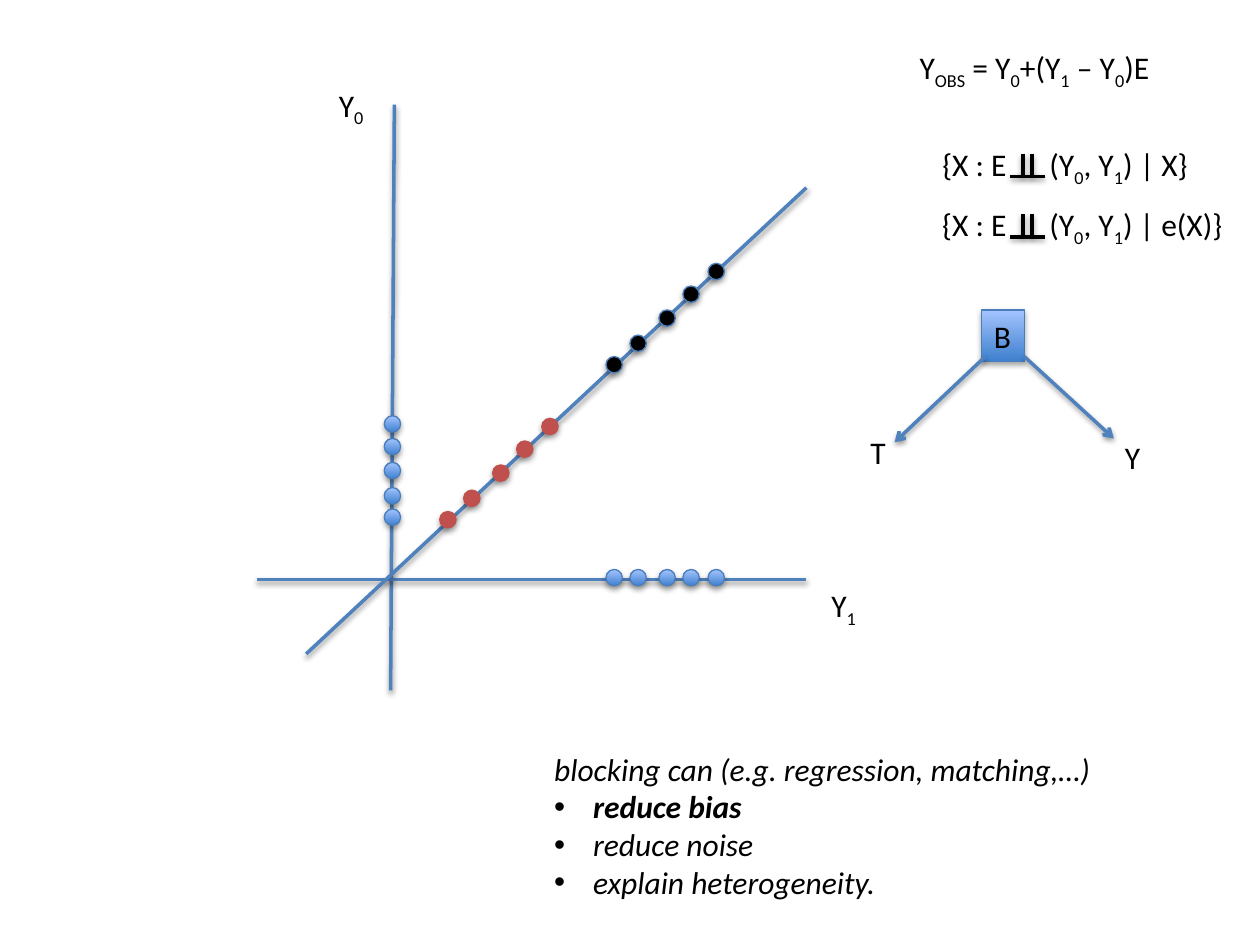
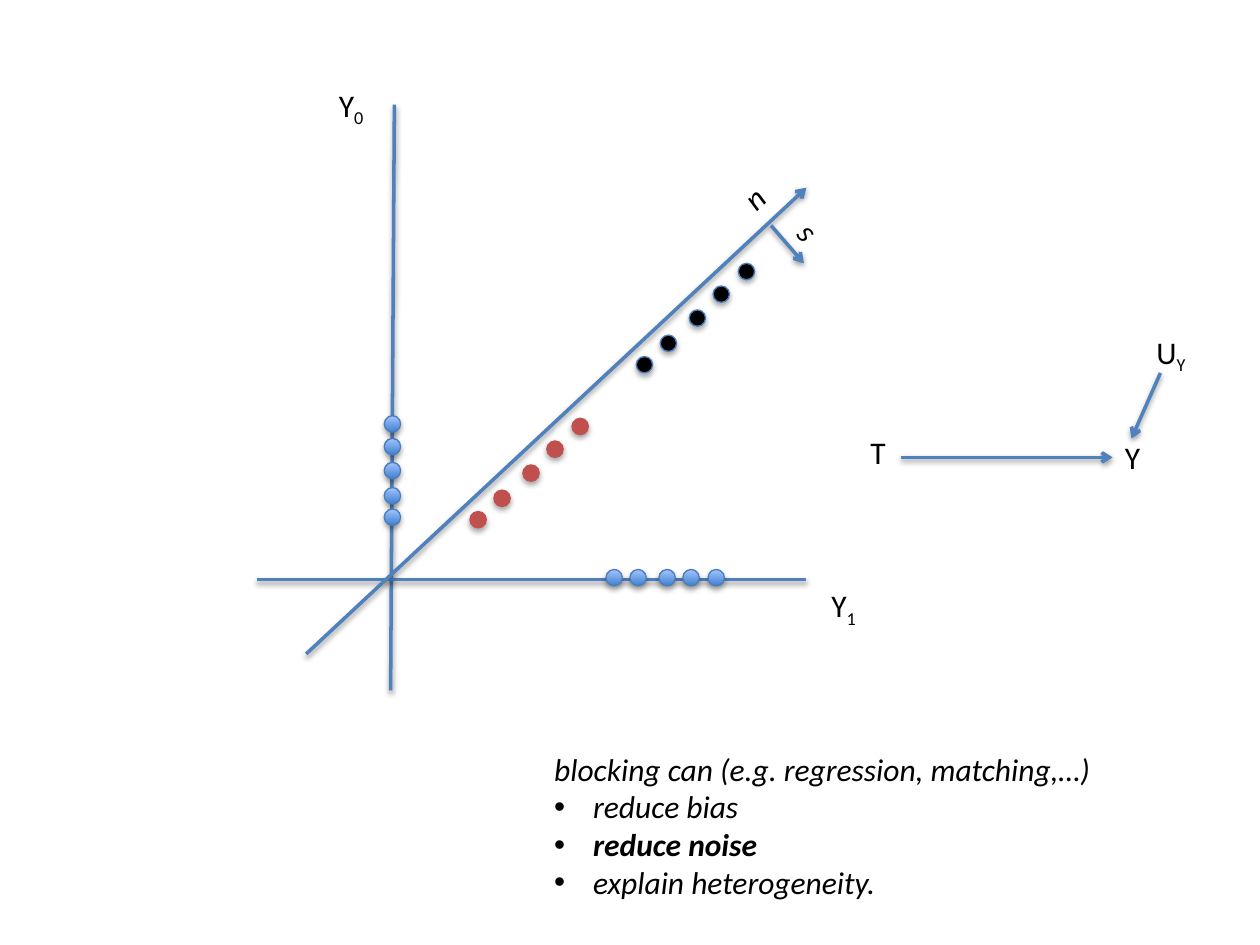
from pptx import Presentation
from pptx.dml.color import RGBColor
from pptx.enum.shapes import MSO_CONNECTOR, MSO_SHAPE
from pptx.enum.text import MSO_AUTO_SIZE
from pptx.oxml.ns import qn
from pptx.util import Pt
from lxml.etree import SubElement

SCALE = 9144
HUES = {
    "line": "4F81BD",
    "edge": "4B7EBC",
    "deep": "3F80CE",
    "pale": "A4C4FF",
    "red": "C0504D",
    "black": "000000",
}
DOTS = [(368, 389), (391, 369), (410, 350), (349, 406), (430, 332)]
GOALS = ["reduce bias", "reduce noise", "explain heterogeneity."]


def px(size):
    return int(size * SCALE)


def hue(name):
    return RGBColor.from_string(HUES[name])


class Board:
    font = "Calibri"
    size = Pt(18)

    def __init__(self, deck):
        self.deck = deck
        self.shapes = None

    def page(self):
        self.shapes = self.deck.slides.add_slide(self.deck.slide_layouts[6]).shapes

    def shade(self, effects, alpha, drop):
        shadow = SubElement(effects, qn("a:outerShdw"), blurRad="40000", dist=str(drop),
                            dir="5400000", rotWithShape="0")
        tone = SubElement(shadow, qn("a:srgbClr"), val=HUES["black"])
        SubElement(tone, qn("a:alpha"), val=str(alpha * 1000))

    def form(self, kind, x, y, w, h, fill=None, edge="edge"):
        shape = self.shapes.add_shape(kind, px(x), px(y), px(w), px(h))
        if fill:
            shape.fill.solid()
            shape.fill.fore_color.rgb = hue(fill)
        else:
            shape.fill.gradient()
            shape.fill.gradient_angle = 90
            for stop, name in zip(shape.fill.gradient_stops, ("deep", "pale")):
                stop.color.rgb = hue(name)
        shape.line.color.rgb = hue(edge)
        shape.line.width = Pt(0.75)
        shape.shadow.inherit = False
        self.shade(shape.element.spPr.find(qn("a:effectLst")), 35, 23000)

    def dot(self, x, y, fill=None, edge="edge"):
        self.form(MSO_SHAPE.OVAL, x, y, 13, 13, fill, edge)

    def line(self, start, end, arrow=False, tone="line", goal=None):
        link = self.shapes.add_connector(
            MSO_CONNECTOR.STRAIGHT, *map(px, start), *map(px, end))
        if goal is not None:
            link.end_connect(goal, 1)
        link.line.color.rgb = hue(tone)
        link.line.width = Pt(2)
        props = link.element.spPr
        if arrow:
            SubElement(props.find(qn("a:ln")), qn("a:tailEnd"), type="arrow")
        self.shade(SubElement(props, qn("a:effectLst")), 38, 20000)

    def runs(self, para, text, bold=False, slant=False):
        for i, part in enumerate(text.split("~")):
            if not part:
                continue
            run = para.add_run()
            run.text = part
            run.font.name = self.font
            run.font.size = self.size
            run.font.bold = bold
            run.font.italic = slant
            run.font.color.rgb = hue("black")
            if i % 2:
                run.font._element.set("baseline", "-25000")

    def text(self, words, x, y, w, h=40, wrap=True, slant=False, turn=0, tab=0):
        box = self.shapes.add_textbox(px(x), px(y), px(w), px(h))
        box.rotation = turn
        frame = box.text_frame
        frame.word_wrap = wrap
        frame.auto_size = MSO_AUTO_SIZE.SHAPE_TO_FIT_TEXT
        para = frame.paragraphs[0]
        if tab:
            tabs = SubElement(para._p.get_or_add_pPr(), qn("a:tabLst"))
            SubElement(tabs, qn("a:tab"), pos=str(px(tab)), algn="l")
        self.runs(para, words, slant=slant)
        return box

    def goals(self, strong, w):
        box = self.text("blocking can (e.g. regression, matching,…)", 430, 590, w, 131, slant=True)
        for goal in GOALS:
            para = box.text_frame.add_paragraph()
            props = para._p.get_or_add_pPr()
            props.set("marL", str(px(31)))
            props.set("indent", str(px(-31)))
            SubElement(props, qn("a:buFont"), typeface="Arial")
            SubElement(props, qn("a:buChar"), char="•")
            self.runs(para, goal, bold=goal == strong, slant=True)

    def plot(self, shift=0, arrow=False):
        self.line((313, 83), (310, 548))
        self.line((204, 460), (640, 460))
        self.line((243, 519), (640, 149), arrow)
        self.text("Y~0~", 259, 63, 41, wrap=False)
        self.text("Y~1~", 650, 460, 41, wrap=False)
        for x, y in DOTS:
            self.dot(x + shift, y, "red", "red")
        for x, y in DOTS:
            self.dot(x + 132 + shift, y - 123, "black")
        for x, y in DOTS:
            self.dot(305, y - 2)
        for x, y in DOTS:
            self.dot(x + 132, 452)
        self.text("T", 681, 339, 44)
        return self.text("Y", 883, 343, 34)

    def given(self, y, rest, w):
        self.text("{X : E\t(Y~0~, Y~1~) | " + rest + "}", 738, y, w, tab=85)
        base = y + 30
        self.line((802, base), (829, base), tone="black")
        for x in (812, 819):
            self.line((x, base - 18), (x, base), tone="black")


def bias(board):
    board.page()
    board.form(MSO_SHAPE.RECTANGLE, 779, 246, 34, 41)
    board.plot()
    board.text("B", 779, 247, 47)
    board.line((813, 283), (884, 348), True)
    board.line((782, 283), (710, 351), True)
    board.goals("reduce bias", 467)
    board.text("Y~OBS~ = Y~0~+(Y~1~ – Y~0~)E", 720, 33, 284)
    board.given(110, "X", 222)
    board.given(158, "e(X)", 250)


def noise(board):
    board.page()
    goal = board.plot(24, True)
    board.text("U~Y~", 908, 259, 47)
    board.line((921, 296), (898, 348), True)
    board.line((715, 363), (883, 363), True, goal=goal)
    board.line((612, 179), (638, 209), True)
    board.text("n", 581, 135, 39, wrap=False, slant=True, turn=316.7)
    board.text("s", 626, 166, 36, wrap=False, slant=True, turn=47.6)
    board.goals("reduce noise", 463)


def main():
    deck = Presentation()
    deck.slide_width, deck.slide_height = px(1000), px(750)
    board = Board(deck)
    bias(board)
    noise(board)
    deck.save("out.pptx")


if __name__ == "__main__":
    main()
